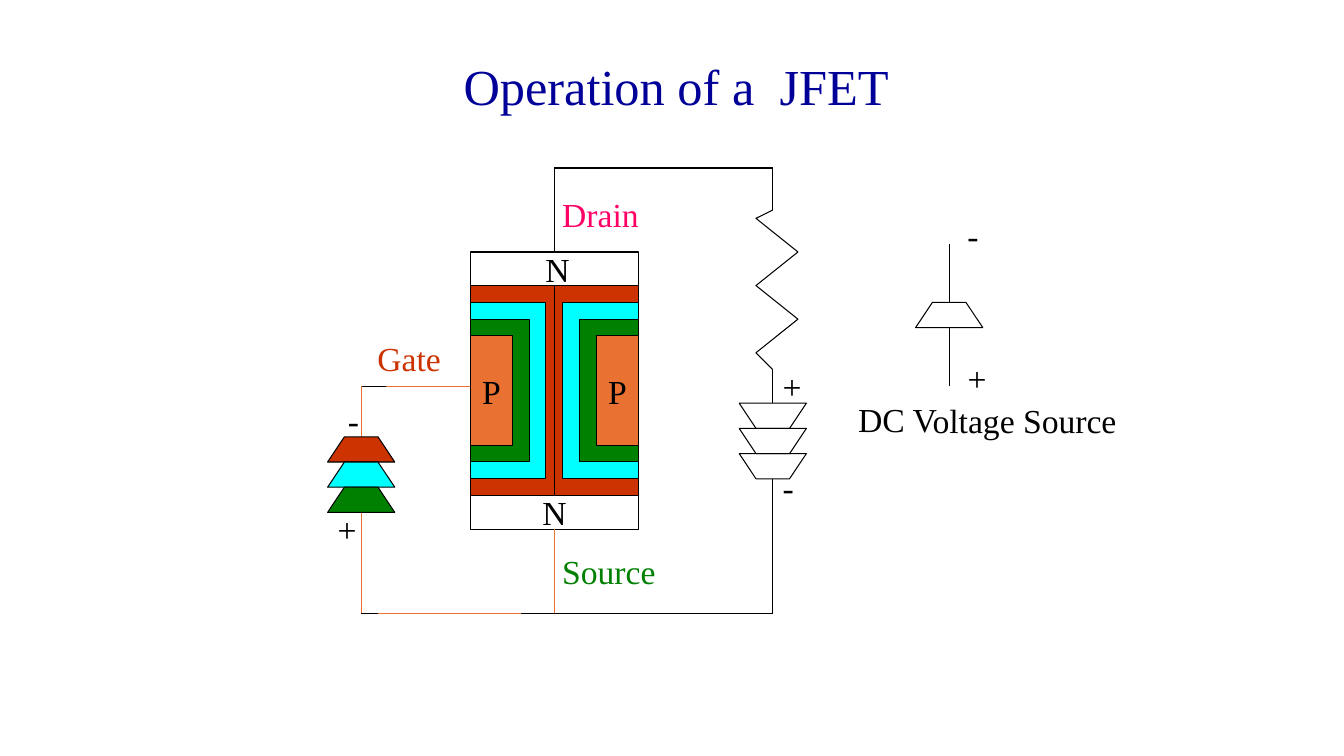
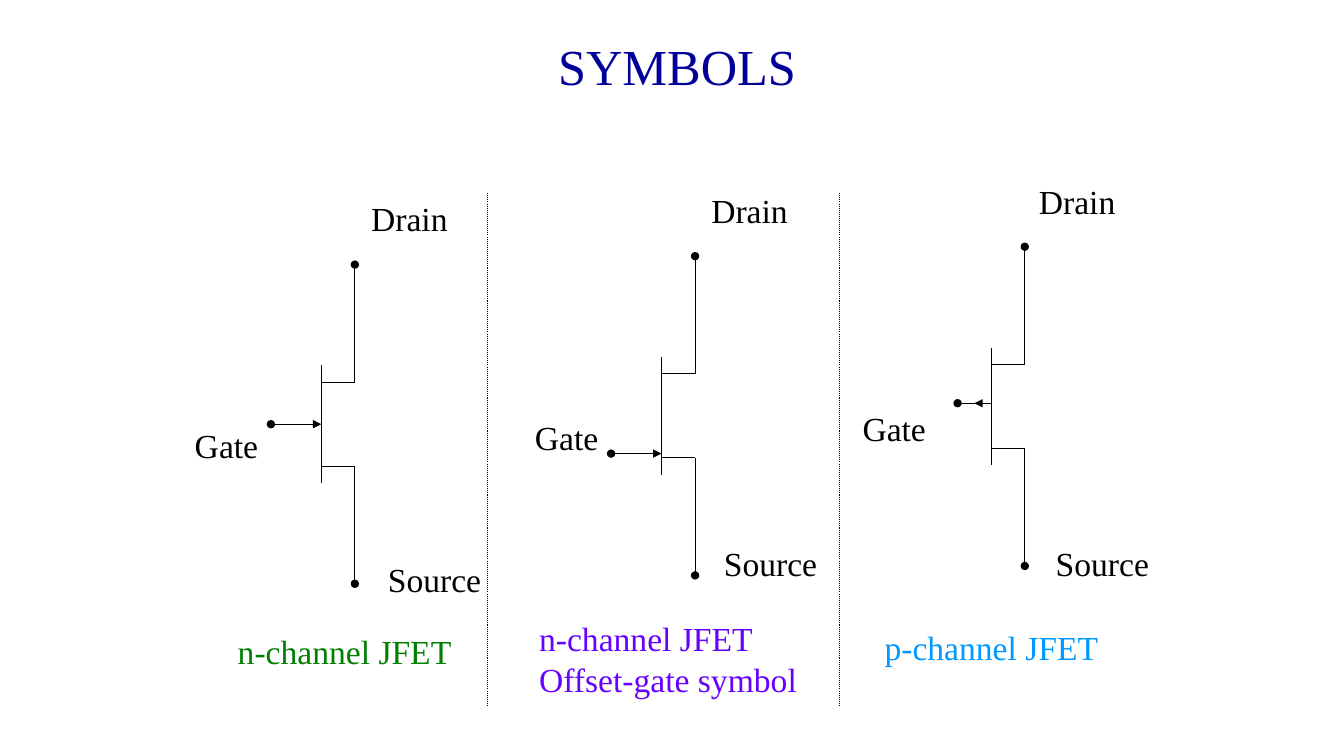
from lxml import etree
from pptx import Presentation
from pptx.dml.color import RGBColor
from pptx.enum.dml import MSO_LINE_DASH_STYLE as Dash
from pptx.enum.shapes import MSO_CONNECTOR as Connector, MSO_SHAPE as Shape
from pptx.enum.text import MSO_ANCHOR as Anchor, PP_ALIGN as Align
from pptx.oxml.ns import qn
from pptx.util import Emu, Pt

PX = 9525
FONT = "Times New Roman"
BLACK, WHITE, TITLE_BLUE = "000000", "FFFFFF", "000099"
RED, CYAN, GREEN, ORANGE = "CC3300", "00FFFF", "008000", "E97132"

LABEL_WIDTHS = {
    "+": 37, "-": 30, "N": 42, "Gate": 80, "Drain": 92, "Source": 108,
    "DC Voltage Source": 266, "n-channel JFET": 223, "p-channel JFET": 223,
    "n-channel JFET\nOffset-gate symbol": 267,
}

# Operation slide: the body and its layers, from the outside in
BODY = (448, 240, 160, 264)
LAYERS = [(80, RED), (72, CYAN), (56, GREEN), (40, ORANGE)]
LAYER_TOP, LAYER_HEIGHT, LAYER_STEP = 272, 200, 16

WIRES = [
    ((448, 368), (360, 368), ORANGE),
    ((368, 368), (344, 368), BLACK),
    ((344, 368), (344, 584), ORANGE),
    ((360, 584), (496, 584), ORANGE),
    ((360, 584), (344, 584), BLACK),
    ((528, 584), (496, 584), BLACK),
    ((904, 312), (904, 368), BLACK),
    ((904, 232), (904, 288), BLACK),
    ((736, 200), (736, 160), BLACK),
    ((528, 160), (736, 160), BLACK),
    ((528, 584), (736, 584), BLACK),
    ((736, 456), (736, 584), BLACK),
    ((736, 352), (736, 384), BLACK),
]
RESISTOR = [(736, 200), (720, 208), (760, 240), (720, 272), (760, 304), (720, 336), (736, 352)]

CELL_WIDTH, CELL_HEIGHT, CELL_SLOPE = 64, 24, 16
BATTERIES = [  # left, top, cell fills, wide side on top
    (312, 416, [RED, CYAN, GREEN], False),
    (872, 288, [None], False),
    (704, 384, [None] * 3, True),
]
OPERATION_LABELS = [
    ("+", 912, 336, BLACK), ("-", 912, 200, BLACK),
    ("+", 312, 480, BLACK), ("-", 322, 376, BLACK),
    ("+", 736, 344, BLACK), ("-", 736, 440, BLACK),
    ("N", 510, 232, BLACK), ("N", 507, 464, BLACK),
    ("Gate", 350, 317, RED), ("Drain", 526, 180, "FF0066"),
    ("Source", 526, 520, GREEN),
]

# Symbols slide: each symbol hangs from its drain terminal
SYMBOLS = [
    {"drain": (338, 252), "gate_drop": 152, "p_channel": False,
     "labels": {"Gate": (176, 400), "Drain": (344, 184), "Source": (360, 528)}},
    {"drain": (662, 244), "gate_drop": 188, "p_channel": False,
     "labels": {"Gate": (500, 392), "Drain": (668, 176), "Source": (680, 512)}},
    {"drain": (976, 235), "gate_drop": 149, "p_channel": True,
     "labels": {"Gate": (812, 384), "Drain": (980, 168), "Source": (996, 512)}},
]
CAPTIONS = [
    ("n-channel JFET", 217, 596, GREEN),
    ("n-channel JFET\nOffset-gate symbol", 504, 584, "6600FF"),
    ("p-channel JFET", 833, 592, "0099FF"),
]
DIVIDERS = [464, 800]


def rgb(value):
    return RGBColor.from_string(value)


def px(*lengths):
    return [Emu(length * PX) for length in lengths]


def write(shape, text, size, color, align=Align.LEFT):
    frame = shape.text_frame
    frame.word_wrap = False
    frame.text = text
    for paragraph in frame.paragraphs:
        paragraph.alignment = align
        for run in paragraph.runs:
            run.font.name, run.font.size = FONT, Pt(size)
            run.font.color.rgb = rgb(color)


def add_label(shapes, text, left, top, color):
    height = 48 + 39 * text.count("\n")
    box = shapes.add_textbox(*px(left, top, LABEL_WIDTHS[text], height))
    write(box, text, 24, color)
    return box


def add_title(slide, text, left, top, width):
    write(slide.shapes.add_textbox(*px(left, top, width, 67)), text, 36, TITLE_BLUE)


def style(shape, fill=None):
    """Thin black outline, flat fill or none, no shadow."""
    shape.shadow.inherit = False
    if fill:
        shape.fill.solid()
        shape.fill.fore_color.rgb = rgb(fill)
    else:
        shape.fill.background()
    shape.line.color.rgb = rgb(BLACK)
    shape.line.width = Pt(0.75)


def add_box(shapes, left, top, width, height, fill=None):
    box = shapes.add_shape(Shape.RECTANGLE, *px(left, top, width, height))
    style(box, fill)
    return box


def add_outline(shapes, points, fill=None, close=True):
    builder = shapes.build_freeform(*points[0], scale=PX)
    builder.add_line_segments(points[1:], close=close)
    style(builder.convert_to_shape(), fill)


def add_line(shapes, start, end, color=BLACK, head=None, tail=None):
    """Straight line; head and tail name the line ends at start and end."""
    line = shapes.add_connector(Connector.STRAIGHT, *px(*start, *end))
    line.line.color.rgb = rgb(color)
    line.line.width = Pt(0.75)
    outline = line.line._get_or_add_ln()
    for tag, kind in (("a:headEnd", head), ("a:tailEnd", tail)):
        if kind:
            etree.SubElement(outline, qn(tag)).set("type", kind)
    etree.SubElement(line._element.spPr, qn("a:effectLst"))
    return line


def add_body(shapes):
    left, top, width, height = BODY
    outline = None
    for index, (layer_width, color) in enumerate(LAYERS):
        inset = index * LAYER_STEP
        innermost = index == len(LAYERS) - 1
        if innermost:
            outline = add_box(shapes, *BODY)
        for x in (left + width - layer_width, left):
            layer = add_box(shapes, x, LAYER_TOP + inset, layer_width,
                            LAYER_HEIGHT - 2 * inset, color)
            if innermost:
                layer.text_frame.vertical_anchor = Anchor.MIDDLE
                write(layer, "P", 24, BLACK, Align.CENTER)
    center, bottom = left + width // 2, top + height
    add_line(shapes, (center, top), (center, 160)).begin_connect(outline, 0)
    add_line(shapes, (center, bottom), (center, 584), ORANGE).begin_connect(outline, 2)


def add_battery(shapes, left, top, fills, wide_top):
    right = left + CELL_WIDTH
    for index, fill in enumerate(fills):
        wide = top + index * CELL_HEIGHT
        narrow = wide + CELL_HEIGHT
        if not wide_top:
            wide, narrow = narrow, wide
        add_outline(shapes, [(left, wide), (left + CELL_SLOPE, narrow),
                             (right - CELL_SLOPE, narrow), (right, wide)], fill)


def add_symbol(shapes, drain, gate_drop, p_channel, labels):
    group = shapes.add_group_shape().shapes
    x, top = drain
    channel, gate = x - 32, top + gate_drop
    drain_stub, source_stub = top + 112, top + 192
    for stub in (drain_stub, source_stub):
        add_line(group, (channel, stub), (x, stub))
    add_line(group, (channel, top + 96), (channel, top + 208))
    add_line(group, drain, (x, drain_stub), head="oval")
    add_line(group, (x, source_stub), (x, top + 304), tail="oval")
    if p_channel:
        add_line(group, (channel - 32, gate), (channel, gate), head="oval")
        add_line(group, (channel - 16, gate), (channel - 8, gate), head="triangle")
    else:
        add_line(group, (channel - 48, gate), (channel, gate), head="oval", tail="triangle")
    for text, place in labels.items():
        add_label(group, text, *place, BLACK)


def build_operation(slide):
    shapes = slide.shapes
    add_title(slide, "Operation of a  JFET", 432, 48, 460)
    add_body(shapes)
    for wire in WIRES:
        add_line(shapes, *wire)
    for battery in BATTERIES:
        add_battery(shapes, *battery)
    add_outline(shapes, RESISTOR, close=False)
    for label in OPERATION_LABELS:
        add_label(shapes, *label)
    add_label(shapes, "DC Voltage Source", 808, 376, BLACK).rotation = 0.3


def build_symbols(slide):
    shapes = slide.shapes
    add_title(slide, "SYMBOLS", 522, 29, 246)
    for symbol in SYMBOLS:
        add_symbol(shapes, **symbol)
    for x in DIVIDERS:
        add_line(shapes, (x, 184), (x, 672)).line.dash_style = Dash.ROUND_DOT
    for caption in CAPTIONS:
        add_label(shapes, *caption)


def main():
    presentation = Presentation()
    presentation.slide_width, presentation.slide_height = px(1280, 720)
    blank = presentation.slide_layouts[6]
    for build in (build_operation, build_symbols):
        slide = presentation.slides.add_slide(blank)
        slide.background.fill.solid()
        slide.background.fill.fore_color.rgb = rgb(WHITE)
        build(slide)
    presentation.save("out.pptx")


if __name__ == "__main__":
    main()
